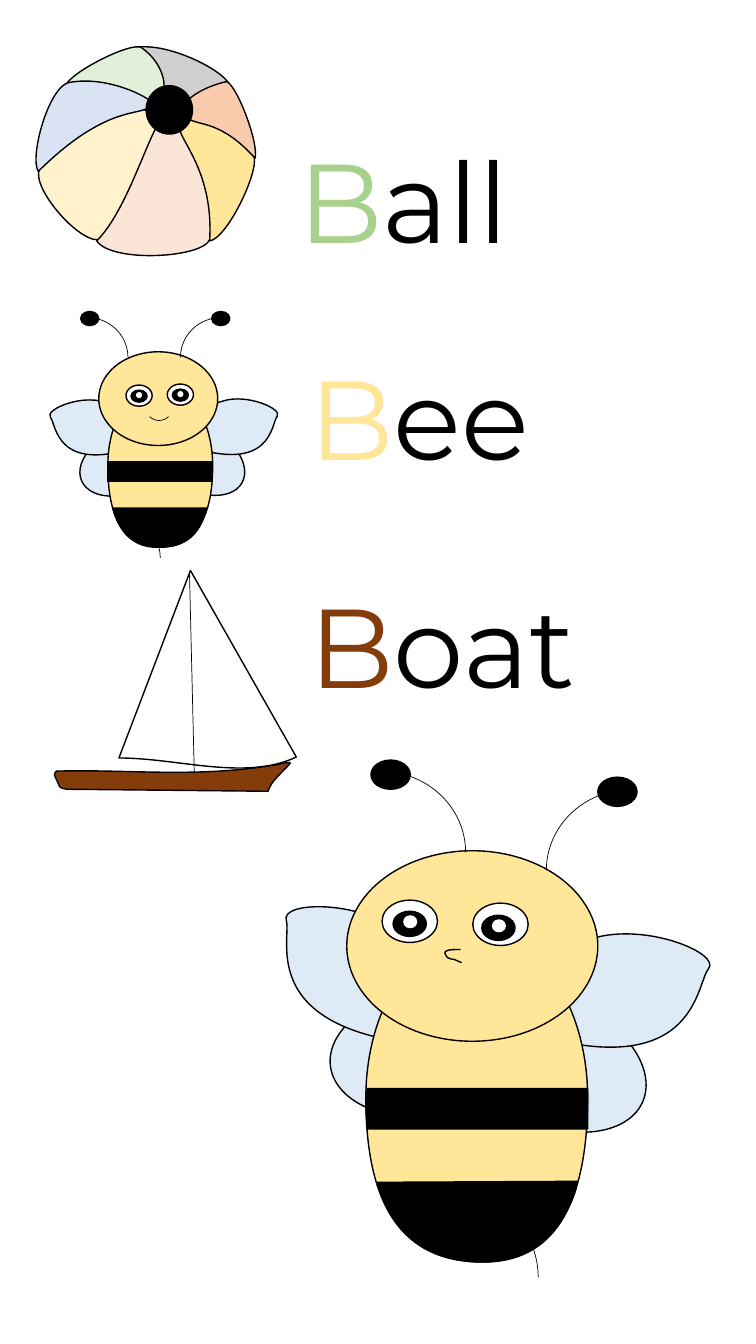
from lxml import etree
from pptx import Presentation
from pptx.dml.color import RGBColor
from pptx.enum.shapes import MSO_CONNECTOR, MSO_SHAPE
from pptx.enum.text import MSO_AUTO_SIZE
from pptx.oxml.ns import qn
from pptx.util import Pt

OVAL, ARC = MSO_SHAPE.OVAL, MSO_SHAPE.ARC
STRAIGHT = MSO_CONNECTOR.STRAIGHT
FIT_TEXT = MSO_AUTO_SIZE.SHAPE_TO_FIT_TEXT

BLACK = RGBColor(0x00, 0x00, 0x00)
WHITE = RGBColor(0xFF, 0xFF, 0xFF)
YELLOW = RGBColor(0xFF, 0xE6, 0x99)
GREEN = RGBColor(0xA9, 0xD1, 0x8E)
BROWN = RGBColor(0x84, 0x3C, 0x0B)
WING_BLUE = RGBColor(0xDE, 0xEB, 0xF7)
GREY = RGBColor(0xD0, 0xCE, 0xCE)
CREAM = RGBColor(0xFF, 0xF2, 0xCC)
PEACH = RGBColor(0xFB, 0xE5, 0xD6)
ORANGE = RGBColor(0xF8, 0xCB, 0xAD)
PALE_GREEN = RGBColor(0xE2, 0xF0, 0xD9)
PALE_BLUE = RGBColor(0xDA, 0xE3, 0xF3)

GRID = Pt(0.72)
CURVE_STEPS = 24

WORDS = [
    ((297, 567, 327, 145), "B", "oat", BROWN),
    ((297, 341, 291, 158), "B", "ee", YELLOW),
    ((286, 126, 267, 145), "B", "all", GREEN),
]

SAIL = [(118, 752), (189, 566), (294, 751), (244, 775, 177, 752, 118, 752)]
HULL = [(54, 769), (54, 768, 55, 765, 56, 765), (128, 763, 193, 772, 272, 759),
        (274, 759, 288, 755, 288, 757), (281, 766, 269, 774, 266, 785),
        (67, 783), (66, 783, 59, 782, 59, 780)]

BALL_PANELS = [
    (GREY, [(227, 83), (220, 69, 167, 42, 135, 47), (165, 65, 156, 99, 173, 93),
            (188, 108, 191, 88, 227, 83)]),
    (CREAM, [(39, 168), (31, 188, 83, 246, 101, 237), (116, 222, 177, 119, 148, 117),
             (152, 86, 47, 148, 39, 168)]),
    (PEACH, [(96, 239), (111, 261, 200, 256, 208, 238), (220, 201, 185, 111, 169, 119),
             (156, 95, 134, 201, 96, 239)]),
    (YELLOW, [(208, 239), (225, 237, 257, 171, 252, 155), (231, 131, 185, 103, 181, 116),
              (163, 130, 213, 156, 208, 239)]),
    (ORANGE, [(253, 157), (257, 142, 235, 85, 225, 81), (205, 85, 179, 99, 184, 109),
              (185, 131, 210, 109, 253, 157)]),
    (PALE_GREEN, [(65, 85), (71, 71, 129, 42, 140, 47), (165, 64, 168, 94, 156, 97),
                  (141, 112, 136, 73, 65, 85)]),
    (PALE_BLUE, [(38, 170), (29, 156, 48, 87, 68, 82), (108, 74, 152, 99, 150, 102),
                 (146, 119, 113, 96, 38, 170)]),
]

SMALL_BEE = {
    "hind_wings": [((151, 425, 95, 62), 28.7), ((77, 427, 95, 62), 336.3)],
    "fore_wings": [
        [(185, 442), (270, 471, 269, 421, 275, 413), (281, 406, 245, 390, 221, 398),
         (196, 406, 99, 412, 185, 442)],
        [(140, 442), (55, 472, 56, 421, 50, 414), (44, 407, 79, 391, 104, 399),
         (129, 406, 226, 413, 140, 442)]],
    "stinger": (78, 512, 81, 83),
    "body": [(159, 542), (118, 543, 107, 506, 107, 462), (107, 417, 130, 381, 159, 381),
             (188, 381, 211, 417, 211, 462), (211, 506, 199, 541, 159, 542)],
    "head": (98, 349, 118, 93),
    "antennae": [((46, 315, 81, 79), False), ((179, 315, 81, 79), True)],
    "tips": [(210, 309, 18, 14), (80, 309, 18, 14)],
    "eyes": [(166, 381, 26, 21), (125, 382, 26, 21)],
    "pupils": [(130, 387, 16, 12), (171, 386, 16, 12)],
    "glints": [(135, 389, 6, 6), (176, 388, 6, 6)],
    "stripes": [
        [(112, 504), (205, 504), (204, 508), (198, 529, 185, 543, 159, 543),
         (134, 544, 120, 530, 113, 508)],
        [(107, 458), (211, 458), (211, 478), (107, 478)]],
}

LARGE_BEE = {
    "hind_wings": [((327, 982, 200, 126), 352.6), ((446, 990, 200, 126), 23.7)],
    "fore_wings": [
        [(440, 1038), (251, 1027, 290, 931, 284, 913), (278, 894, 358, 892, 401, 927),
         (444, 961, 628, 1050, 440, 1038)],
        [(512, 1021), (692, 1080, 690, 976, 703, 961), (715, 946, 641, 915, 588, 931),
         (536, 948, 332, 963, 512, 1021)]],
    "stinger": (364, 1183, 170, 168),
    "body": [(473, 1252), (559, 1255, 583, 1179, 583, 1089), (583, 998, 534, 925, 473, 925),
             (413, 925, 363, 998, 363, 1089), (363, 1179, 388, 1249, 473, 1252)],
    "head": (344, 844, 249, 189),
    "antennae": [((292, 765, 170, 161), False), ((542, 783, 170, 161), True)],
    "tips": [(368, 754, 39, 29), (593, 771, 39, 29)],
    "eyes": [(379, 893, 55, 42), (469, 896, 55, 42)],
    "pupils": [(478, 908, 33, 25), (390, 904, 33, 25)],
    "glints": [(488, 912, 14, 13), (400, 908, 14, 13)],
    "stripes": [
        [(573, 1172), (374, 1173), (376, 1179), (391, 1222, 420, 1250, 474, 1252),
         (528, 1254, 556, 1225, 571, 1181)],
        [(583, 1080), (364, 1080), (363, 1096), (363, 1103, 364, 1110, 364, 1120),
         (583, 1120), (583, 1096)]],
}
LARGE_MOUTH = [(457, 942), (450, 942, 444, 942, 442, 944), (440, 945, 443, 949, 444, 950),
               (446, 952, 448, 951, 451, 952), (453, 953, 458, 955, 458, 955)]


def paint(sp, fill, width):
    sp.shadow.inherit = False
    if fill is None:
        sp.fill.background()
    else:
        sp.fill.solid()
        sp.fill.fore_color.rgb = fill
    if width:
        sp.line.color.rgb = BLACK
        sp.line.width = Pt(width)
    else:
        sp.line.fill.background()


def add_preset(group, kind, box, fill=None, width=1.0, rotation=0, flip=None):
    sp = group.shapes.add_shape(kind, *(v * GRID for v in box))
    paint(sp, fill, width)
    sp.rotation = rotation
    if flip:
        sp._element.spPr.xfrm.set(flip, "1")


def pairs(values):
    return [(x * GRID, y * GRID) for x, y in zip(values[::2], values[1::2])]


def curve_points(controls):
    for n in range(1, CURVE_STEPS + 1):
        t = n / CURVE_STEPS
        weights = ((1 - t) ** 3, 3 * t * (1 - t) ** 2, 3 * t * t * (1 - t), t ** 3)
        yield tuple(sum(w * c[i] for w, c in zip(weights, controls)) for i in (0, 1))


def add_outline(group, segments, fill=None, close=True):
    start, *rest = [pairs(seg) for seg in segments]
    points = list(start)
    for seg in rest:
        points.extend(seg if len(seg) == 1 else curve_points([points[-1], *seg]))
    builder = group.shapes.build_freeform(*points[0], scale=1.0)
    builder.add_line_segments(points[1:], close=close)
    sp = builder.convert_to_shape()
    paint(sp, fill, 1)
    geom = sp._element.find(".//" + qn("a:path"))
    for line in geom.findall(qn("a:lnTo")):
        geom.remove(line)
    for n, seg in enumerate(rest, 1):
        el = etree.Element(qn("a:lnTo" if len(seg) == 1 else "a:cubicBezTo"))
        for x, y in seg:
            etree.SubElement(el, qn("a:pt"), x=str(x - sp.left), y=str(y - sp.top))
        geom.insert(n, el)


def add_word(s, box, initial, rest, colour):
    tb = s.shapes.add_textbox(*(v * GRID for v in box))
    tf = tb.text_frame
    tf.word_wrap = True
    tf.auto_size = FIT_TEXT
    p = tf.paragraphs[0]
    for text, rgb in ((initial, colour), (rest, BLACK)):
        r = p.add_run()
        r.text = text
        for name, value in {"name": "Montserrat", "size": Pt(80)}.items():
            setattr(r.font, name, value)
        r.font.color.rgb = rgb
    ln = etree.Element(qn("a:ln"), w=str(Pt(0.75)))
    fill = etree.SubElement(ln, qn("a:solidFill"))
    etree.SubElement(fill, qn("a:srgbClr"), val=str(BLACK))
    p.runs[0]._r.get_or_add_rPr().insert(0, ln)


def add_boat(s):
    group = s.shapes.add_group_shape()
    add_outline(group, SAIL, WHITE)
    mast = group.shapes.add_connector(STRAIGHT, *(v * GRID for v in (188, 569, 193, 778)))
    mast.line.color.rgb = BLACK
    mast.line.width = Pt(0.5)
    etree.SubElement(mast._element.spPr, qn("a:effectLst"))
    add_outline(group, HULL, BROWN)


def add_ball(s):
    group = s.shapes.add_group_shape()
    for colour, panel in BALL_PANELS:
        add_outline(group, panel, colour)
    add_preset(group, OVAL, (145, 85, 46, 48), BLACK)


def add_bee(s, bee):
    group = s.shapes.add_group_shape()
    for box, rotation in bee["hind_wings"]:
        add_preset(group, OVAL, box, WING_BLUE, rotation=rotation)
    for wing in bee["fore_wings"]:
        add_outline(group, wing, WING_BLUE)
    add_preset(group, ARC, bee["stinger"], width=0.5)
    add_outline(group, bee["body"], YELLOW)
    add_preset(group, OVAL, bee["head"], YELLOW)
    for box, mirrored in bee["antennae"]:
        add_preset(group, ARC, box, width=0.5, flip="flipH" if mirrored else None)
    for part, fill, width in (("tips", BLACK, 1), ("eyes", WHITE, 1),
                              ("pupils", BLACK, 1), ("glints", WHITE, 0)):
        for box in bee[part]:
            add_preset(group, OVAL, box, fill, width)
    for stripe in bee["stripes"]:
        add_outline(group, stripe, BLACK)
    return group


def main():
    prs = Presentation()
    prs.slide_width, prs.slide_height = Pt(540), Pt(960)
    s = prs.slides.add_slide(prs.slide_layouts[6])
    for word in WORDS:
        add_word(s, *word)
    add_boat(s)
    small_bee = add_bee(s, SMALL_BEE)
    add_preset(small_bee, ARC, (144, 391, 27, 26), width=0.5, rotation=43.5, flip="flipV")
    add_ball(s)
    large_bee = add_bee(s, LARGE_BEE)
    add_outline(large_bee, LARGE_MOUTH, close=False)
    prs.save("out.pptx")


if __name__ == "__main__":
    main()
